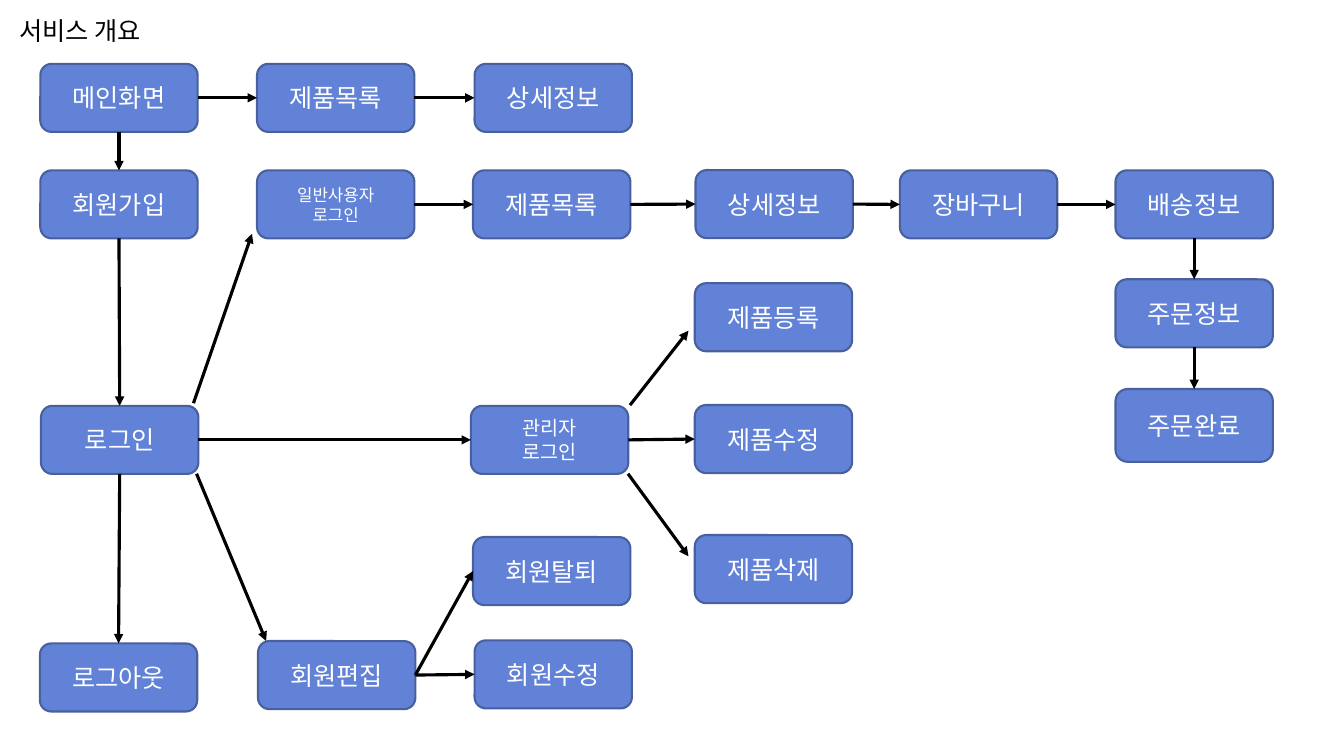
from lxml import etree
from pptx import Presentation
from pptx.dml.color import RGBColor
from pptx.enum import shapes, text
from pptx.oxml import ns
from pptx.util import Pt

BLUE = RGBColor(0x61, 0x82, 0xD6)
NAVY = RGBColor(0x48, 0x60, 0x9E)
WHITE = RGBColor(0xFF, 0xFF, 0xFF)
BLACK = RGBColor(0x00, 0x00, 0x00)

BOX_WIDTH, BOX_HEIGHT = 112.4, 48.6
TOP, LEFT, BOTTOM, RIGHT = range(4)


def write(frame, words, size, color, align):
    frame.text = words
    for para in frame.paragraphs:
        para.alignment = align
        for span in para.runs:
            for name, value in {"size": Pt(size), "name": "Calibri"}.items():
                setattr(span.font, name, value)
            span.font.color.rgb = color


def add_arrow(page, x1, y1, x2, y2):
    arrow = page.shapes.add_connector(
        shapes.MSO_CONNECTOR.STRAIGHT, Pt(x1), Pt(y1), Pt(x2), Pt(y2))
    arrow.line.width = Pt(2.25)
    arrow.line.color.rgb = BLACK
    tail = etree.SubElement(arrow.line._get_or_add_ln(), ns.qn("a:tailEnd"))
    tail.set("type", "triangle")
    etree.SubElement(arrow._element.spPr, ns.qn("a:effectLst"))
    return arrow


deck = Presentation()
deck.slide_width, deck.slide_height = Pt(960), Pt(540)
page = deck.slides.add_slide(deck.slide_layouts[5])

title = page.shapes.title
for name, value in {"left": 6.5, "top": 7.2, "width": 314.6, "height": 29}.items():
    setattr(title, name, Pt(value))
write(title.text_frame, "서비스 개요", 18, BLACK, text.PP_ALIGN.LEFT)
title_format = {
    "vertical_anchor": text.MSO_ANCHOR.TOP,
    "auto_size": text.MSO_AUTO_SIZE.SHAPE_TO_FIT_TEXT,
    "word_wrap": True,
}
for name, value in title_format.items():
    setattr(title.text_frame, name, value)

screens = {
    "main": ("메인화면", 28.8, 45.6),
    "main_list": ("제품목록", 183.6, 45.6),
    "main_detail": ("상세정보", 339, 45.6),
    "join": ("회원가입", 28.8, 121.7),
    "user_login": ("일반사용자\n로그인", 183.6, 121.7),
    "user_list": ("제품목록", 337.9, 121.7),
    "user_detail": ("상세정보", 496.8, 121.5),
    "cart": ("장바구니", 642.8, 121.7),
    "delivery": ("배송정보", 796.8, 121.7),
    "order_info": ("주문정보", 796.8, 199.5),
    "order_done": ("주문완료", 796.8, 277.9),
    "login": ("로그인", 29.3, 289.9),
    "admin_login": ("관리자\n로그인", 336.4, 289.9),
    "product_add": ("제품등록", 496.3, 202.3),
    "product_edit": ("제품수정", 496.3, 289.3),
    "product_delete": ("제품삭제", 496.3, 382.2),
    "member_leave": ("회원탈퇴", 337.9, 383.6),
    "member_edit": ("회원수정", 339, 457.4),
    "member": ("회원편집", 184.3, 457.9),
    "logout": ("로그아웃", 28.5, 459.6),
}
sizes = {"user_login": 12, "admin_login": 14}
heights = {"order_done": 52}

boxes = {}
for key, (words, left, top) in screens.items():
    box = page.shapes.add_shape(
        shapes.MSO_SHAPE.ROUNDED_RECTANGLE, Pt(left), Pt(top),
        Pt(BOX_WIDTH), Pt(heights.get(key, BOX_HEIGHT)))
    box.shadow.inherit = False
    box.fill.solid()
    box.fill.fore_color.rgb = BLUE
    box.line.color.rgb = NAVY
    box.line.width = Pt(1.5)
    box.text_frame.vertical_anchor = text.MSO_ANCHOR.MIDDLE
    write(box.text_frame, words, sizes.get(key, 18), WHITE, text.PP_ALIGN.CENTER)
    boxes[key] = box

across = [
    ("main", "main_list", "main_detail"),
    ("user_login", "user_list", "user_detail", "cart", "delivery"),
    ("login", "admin_login", "product_edit"),
    ("member", "member_edit"),
    ("member", "member_leave"),
]
down = [
    ("main", "join", "login", "logout"),
    ("delivery", "order_info", "order_done"),
]
for chains, leave, enter in ((across, RIGHT, LEFT), (down, BOTTOM, TOP)):
    for chain in chains:
        for start, end in zip(chain, chain[1:]):
            arrow = add_arrow(page, 0, 0, 0, 0)
            arrow.begin_connect(boxes[start], leave)
            arrow.end_connect(boxes[end], enter)

corner_arrows = [
    (138.2, 288, 180, 167),
    (140.4, 338.4, 190.1, 457.9),
    (448.6, 338.4, 491.8, 397.4),
    (450, 289.4, 491.8, 236.2),
]
for ends in corner_arrows:
    add_arrow(page, *ends)

deck.save("out.pptx")
